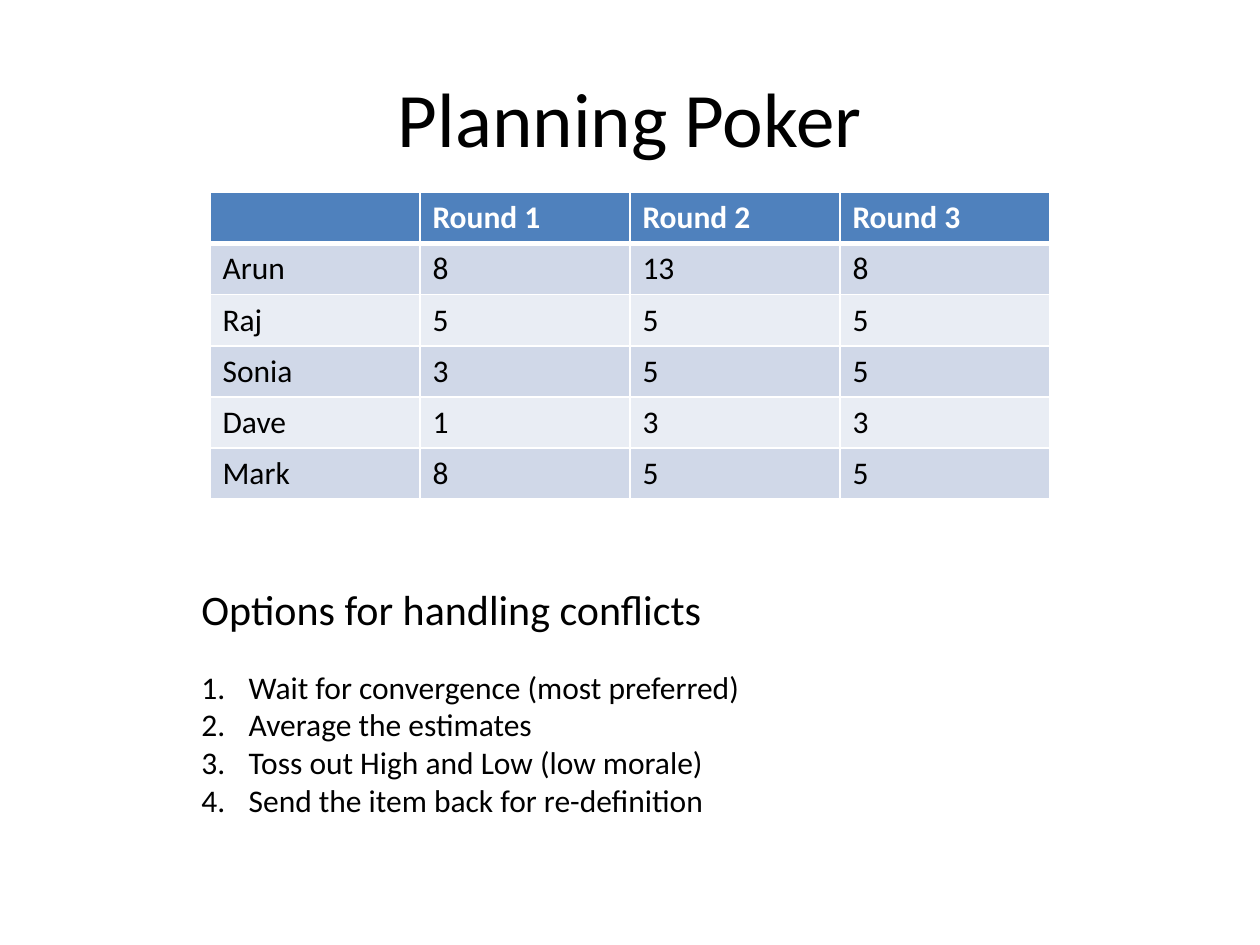
from dataclasses import dataclass

from lxml.etree import SubElement
from pptx import Presentation
from pptx.dml.color import RGBColor
from pptx.enum.text import MSO_ANCHOR, MSO_AUTO_SIZE, PP_ALIGN
from pptx.oxml.ns import qn
from pptx.util import Pt

FONT = "Calibri"
BLACK, WHITE = "000000", "FFFFFF"
HEADER_FILL = "4F81BD"
BAND_FILLS = ("D0D8E8", "E9EDF4")
COLUMN_WIDTH, ROW_HEIGHT = 120, 29.2
ESTIMATES = (
    ("", "Round 1", "Round 2", "Round 3"),
    ("Arun", "8", "13", "8"),
    ("Raj", "5", "5", "5"),
    ("Sonia", "3", "5", "5"),
    ("Dave", "1", "3", "3"),
    ("Mark", "8", "5", "5"),
)


@dataclass(frozen=True)
class TextBlock:
    lines: tuple[str, ...]
    left: float
    top: float
    width: float
    height: float
    size: float
    is_title: bool = False
    numbered: bool = False


TEXT_BLOCKS = (
    TextBlock(("Planning Poker",), 36, 21.6, 648, 90, 44, is_title=True),
    TextBlock(("Options for handling conflicts",), 108, 330, 303, 36, 24),
    TextBlock(
        (
            "Wait for convergence (most preferred)",
            "Average the estimates",
            "Toss out High and Low (low morale)",
            "Send the item back for re-definition",
        ),
        108, 378, 325.5, 94.5, 18, numbered=True,
    ),
)


def rgb(color: str) -> RGBColor:
    return RGBColor.from_string(color)


def style_paragraph(paragraph, size: float, color: str = BLACK, bold: bool = False) -> None:
    paragraph.font.name = FONT
    paragraph.font.size = Pt(size)
    paragraph.font.bold = bold
    paragraph.font.color.rgb = rgb(color)


def number_paragraph(paragraph) -> None:
    properties = paragraph._p.get_or_add_pPr()
    properties.set("marL", str(Pt(27)))
    properties.set("indent", str(-Pt(27)))
    SubElement(properties, qn("a:buFont"), typeface="+mj-lt")
    SubElement(properties, qn("a:buAutoNum"), type="arabicPeriod")


def draw_text(slide, block: TextBlock) -> None:
    shape = slide.shapes.add_textbox(
        Pt(block.left), Pt(block.top), Pt(block.width), Pt(block.height)
    )
    frame = shape.text_frame
    frame.word_wrap = block.is_title
    frame.auto_size = MSO_AUTO_SIZE.NONE if block.is_title else MSO_AUTO_SIZE.SHAPE_TO_FIT_TEXT
    frame.vertical_anchor = MSO_ANCHOR.MIDDLE if block.is_title else MSO_ANCHOR.TOP
    frame.text = "\n".join(block.lines)
    for paragraph in frame.paragraphs:
        paragraph.alignment = PP_ALIGN.CENTER if block.is_title else PP_ALIGN.LEFT
        if block.numbered:
            number_paragraph(paragraph)
        style_paragraph(paragraph, block.size)


def add_border(cell, side: str, width: float) -> None:
    line = SubElement(cell._tc.get_or_add_tcPr(), qn(f"a:ln{side}"), w=str(Pt(width)))
    SubElement(SubElement(line, qn("a:solidFill")), qn("a:srgbClr"), val=WHITE)


def draw_table(slide, left: float, top: float) -> None:
    row_count, column_count = len(ESTIMATES), len(ESTIMATES[0])
    table = slide.shapes.add_table(
        row_count, column_count, Pt(left), Pt(top),
        Pt(COLUMN_WIDTH * column_count), Pt(ROW_HEIGHT * row_count),
    ).table
    for row_index, values in enumerate(ESTIMATES):
        is_header = row_index == 0
        fill = HEADER_FILL if is_header else BAND_FILLS[(row_index - 1) % 2]
        for column_index, value in enumerate(values):
            cell = table.cell(row_index, column_index)
            cell.text = value
            for side in "LRTB":
                under_header = (row_index, side) in ((0, "B"), (1, "T"))
                add_border(cell, side, 3 if under_header else 1)
            cell.fill.solid()
            cell.fill.fore_color.rgb = rgb(fill)
            style_paragraph(
                cell.text_frame.paragraphs[0], 18, WHITE if is_header else BLACK, is_header
            )


def main() -> None:
    """Build the planning poker slide."""
    presentation = Presentation()
    presentation.slide_width, presentation.slide_height = Pt(720), Pt(540)
    slide = presentation.slides.add_slide(presentation.slide_layouts[6])
    draw_table(slide, 120, 110)
    for block in TEXT_BLOCKS:
        draw_text(slide, block)
    presentation.save("out.pptx")


if __name__ == "__main__":
    main()
